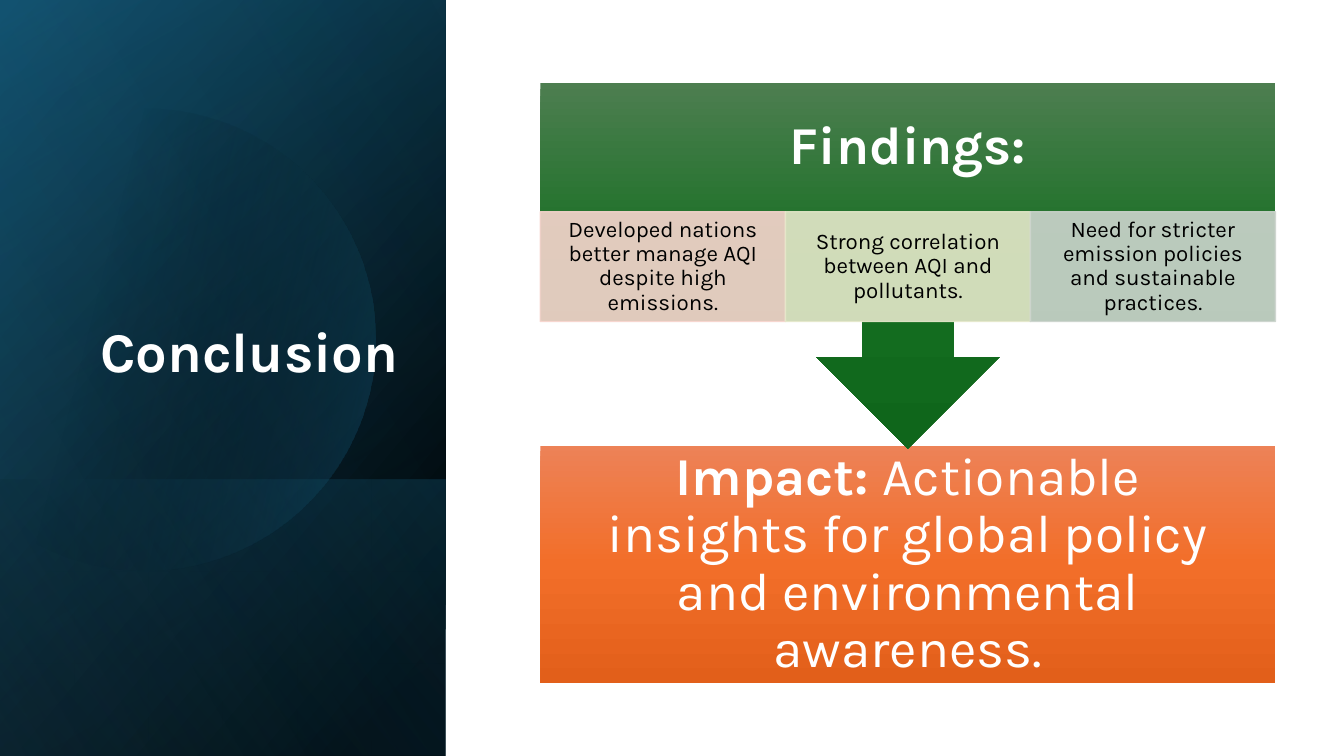
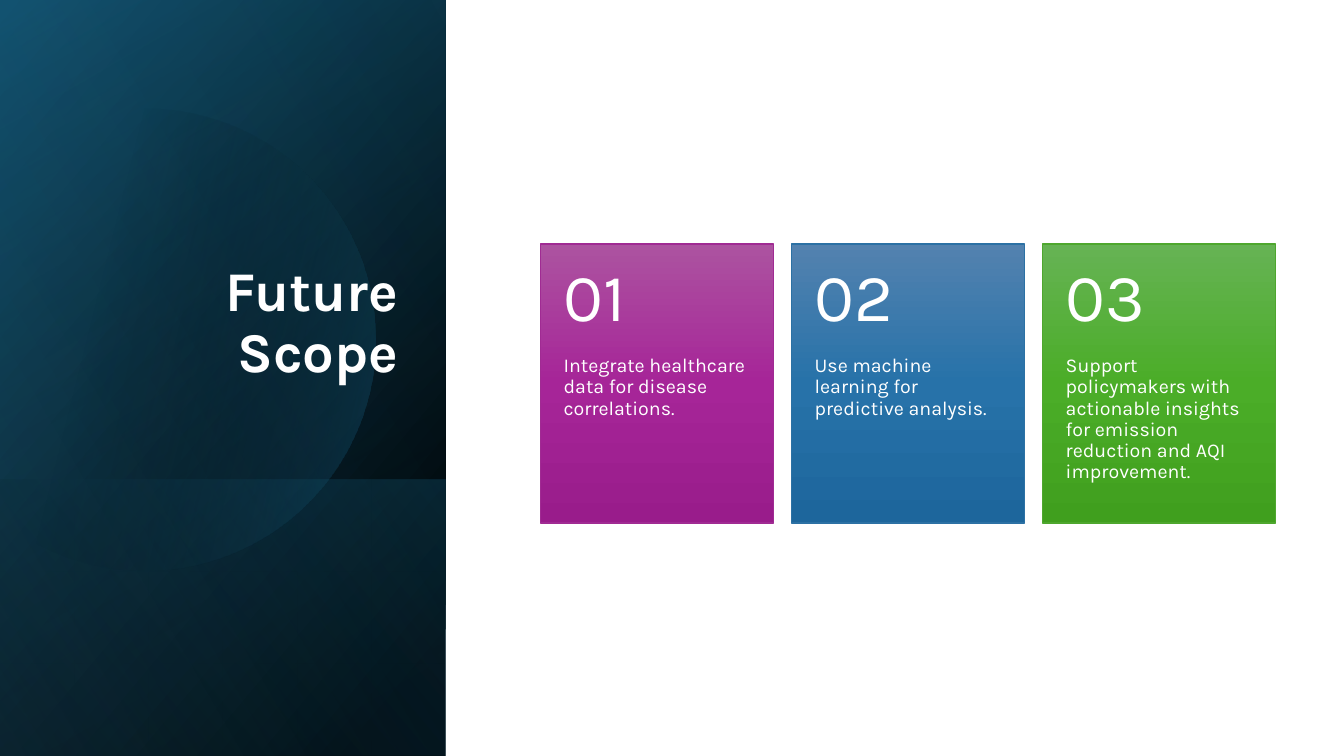
from math import acos, cos, sin

from lxml.etree import SubElement
from pptx import Presentation
from pptx.dml.color import RGBColor
from pptx.enum.shapes import MSO_SHAPE
from pptx.enum.text import MSO_ANCHOR, PP_ALIGN
from pptx.oxml.ns import qn
from pptx.util import Inches, Pt

FONT = "Karla"
WHITE, BLACK = "FFFFFF", "000000"
TALL, SIDE = 7.5, 4.42  # slide height and side panel width
LEFT, WIDE = 5.36, 7.29  # content column

# Side panel layers: height, stops (position, colour, opacity), angle
BASE = [
    (TALL, [(8, BLACK, 100), (100, "104862", 100)], 50),
    (TALL, [(0, BLACK, 0), (99, "156082", 46)], 30),
    (2.74, [(2, "156082", 29), (100, BLACK, 30)], 130),
]
DISC = [(29, BLACK, 0), (100, "156082", 43)]
GLOW = (TALL, [(0, BLACK, 0), (99, "46B1E1", 11)], 120)

FACTS = [
    ("Developed nations better manage AQI despite high emissions.", "F7D5CE"),
    ("Strong correlation between AQI and pollutants.", "E5E8CA"),
    ("Need for stricter emission policies and sustainable practices.",
     "CCD4CD"),
]
PLANS = [
    ("Integrate healthcare data for disease correlations.",
     ("AC53A0", "A62598", "991C8B"), "A02B93"),
    ("Use machine learning for predictive analysis.",
     ("5382AF", "2772A9", "1D669C"), "2C71A4"),
    ("Support policymakers with actionable insights for emission reduction "
     "and AQI improvement.",
     ("66B354", "4BAD28", "409F1E"), "4EA72E"),
]


def color(code):
    return RGBColor.from_string(code)


def fade(node, share):
    """Set the opacity, in percent, of an a:srgbClr element."""
    SubElement(node, qn("a:alpha"), val=str(share * 1000))


def blend(shape, stops, angle):
    """Fill with a linear gradient, angle in degrees clockwise."""
    shape.fill.gradient()
    grad = shape._element.spPr.find(qn("a:gradFill"))
    for child in list(grad):
        grad.remove(child)
    group = SubElement(grad, qn("a:gsLst"))
    for place, code, share in stops:
        stop = SubElement(group, qn("a:gs"), pos=str(place * 1000))
        fade(SubElement(stop, qn("a:srgbClr"), val=code), share)
    SubElement(grad, qn("a:lin"), ang=str(angle * 60000), scaled="0")


def shade(shape, codes):
    """Fill from top to bottom with three solid colours."""
    blend(shape, [(50 * i, code, 100) for i, code in enumerate(codes)], 90)


def block(slide, x, y, w, h, kind=MSO_SHAPE.RECTANGLE):
    shape = slide.shapes.add_shape(
        kind, Inches(x), Inches(y), Inches(w), Inches(h))
    shape.shadow.inherit = False
    shape.line.fill.background()
    return shape


def field(slide, x, y, w, h):
    """Add an empty text box."""
    return slide.shapes.add_textbox(
        Inches(x), Inches(y), Inches(w), Inches(h))


def border(shape, code):
    shape.line.color.rgb = color(code)
    shape.line.width = Pt(1)


def write(shape, text, size=16, code=WHITE, bold=False, lead="",
          align=PP_ALIGN.CENTER, anchor=MSO_ANCHOR.MIDDLE,
          inset=(0.1, 0.05, 0.1, 0.05)):
    """Set one paragraph, after an optional bold lead."""
    frame = shape.text_frame
    frame.word_wrap = True
    frame.vertical_anchor = anchor
    (frame.margin_left, frame.margin_top,
     frame.margin_right, frame.margin_bottom) = map(Inches, inset)
    para = frame.paragraphs[0]
    para.alignment = align
    para.line_spacing = 0.9
    for part, heavy in ((lead, True), (text, bold)):
        if part:
            run = para.add_run()
            run.text = part
            run.font.name = FONT
            run.font.size = Pt(size)
            run.font.bold = heavy
            run.font.color.rgb = color(code)


def layer(slide, tall, stops, angle):
    """Add a turned and mirrored layer at the foot of the side panel."""
    shape = block(slide, (SIDE - tall) / 2, TALL - (tall + SIDE) / 2,
                  tall, SIDE)
    shape.rotation = 90
    shape._element.spPr.xfrm.set("flipH", "1")
    blend(shape, stops, angle)


def disc(slide):
    """Add the circle that the left slide edge cuts off."""
    x, y, radius, steps = 1.43, 3.37, 2.29, 120
    reach = acos(-x / radius)
    turns = [reach * (2 * i / steps - 1) for i in range(steps + 1)]
    points = [(Inches(x + radius * cos(t)), Inches(y + radius * sin(t)))
              for t in turns]
    pen = slide.shapes.build_freeform(*points[0])
    pen.add_line_segments(points[1:], close=True)
    shape = pen.convert_to_shape()
    shape.shadow.inherit = False
    shape.line.fill.background()
    blend(shape, DISC, 14)


def start(deck, title):
    """Add a slide with the side panel and its title."""
    slide = deck.slides.add_slide(deck.slide_layouts[6])
    for item in BASE:
        layer(slide, *item)
    disc(slide)
    layer(slide, *GLOW)
    write(field(slide, 0.64, 1.84, 3.41, 2.02), title, size=40, bold=True,
          align=PP_ALIGN.RIGHT, anchor=MSO_ANCHOR.BOTTOM)
    return slide


def fact(slide, x, text, code):
    cell = block(slide, x, 2.1, WIDE / 3, 1.09)
    cell.fill.solid()
    cell.fill.fore_color.rgb = color(code)
    border(cell, code)
    for node in list(cell._element.spPr.iter(qn("a:srgbClr"))):
        fade(node, 90)
    write(cell, text, code=BLACK, inset=(0.12, 0.02, 0.12, 0.02))


def plan(slide, x, mark, text, codes, edge):
    y, w, h, head = 2.42, 2.31, 2.77, 1.11
    card = block(slide, x, y, w, h)
    shade(card, codes)
    border(card, edge)
    write(field(slide, x, y + head, w, h - head), text, size=14,
          align=PP_ALIGN.LEFT, anchor=MSO_ANCHOR.TOP,
          inset=(0.23, 0, 0.23, 0.36))
    write(field(slide, x, y, w, head), mark, size=48, align=PP_ALIGN.LEFT,
          inset=(0.23, 0.18, 0.23, 0.18))


def close(deck):
    """Build the conclusion slide."""
    slide = start(deck, "Conclusion")
    inset = (0.3,) * 4
    impact = block(slide, LEFT, 4.42, WIDE, 2.36)
    shade(impact, ("ED8257", "F26E29", "E25F1A"))
    write(impact, " Actionable insights for global policy and environmental "
          "awareness.", size=38, lead="Impact:", inset=inset)
    arrow = block(slide, LEFT, 0.82, WIDE, 3.63,
                  MSO_SHAPE.DOWN_ARROW_CALLOUT)
    shade(arrow, ("4D7E50", "156F21", "0F661B"))
    write(field(slide, LEFT, 0.82, WIDE, 1.28), "Findings:", size=38,
          bold=True, inset=inset)
    for i, item in enumerate(FACTS):
        fact(slide, LEFT + i * WIDE / 3, *item)


def future(deck):
    slide = start(deck, "Future Scope")
    for i, item in enumerate(PLANS):
        plan(slide, LEFT + 2.49 * i, f"{i + 1:02}", *item)


def main():
    deck = Presentation()
    deck.slide_width, deck.slide_height = Inches(13.33), Inches(TALL)
    close(deck)
    future(deck)
    deck.save("out.pptx")


if __name__ == "__main__":
    main()
